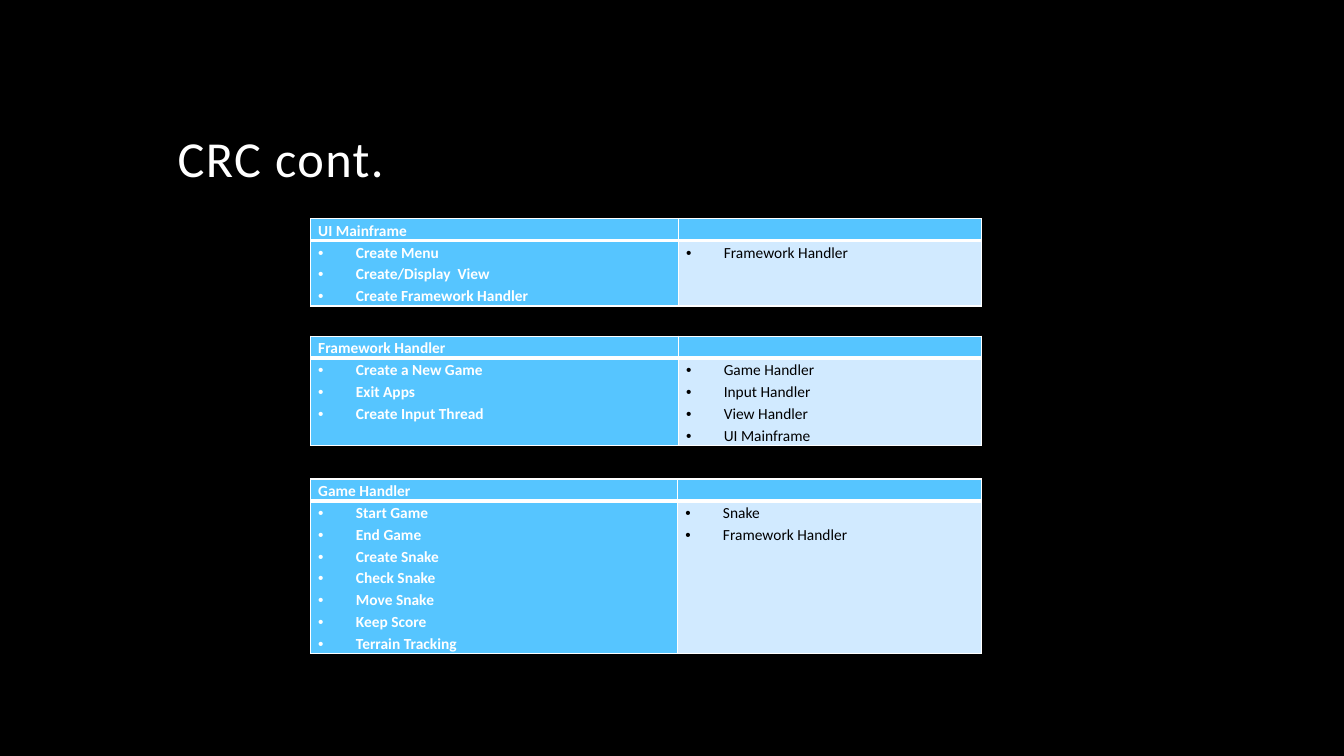
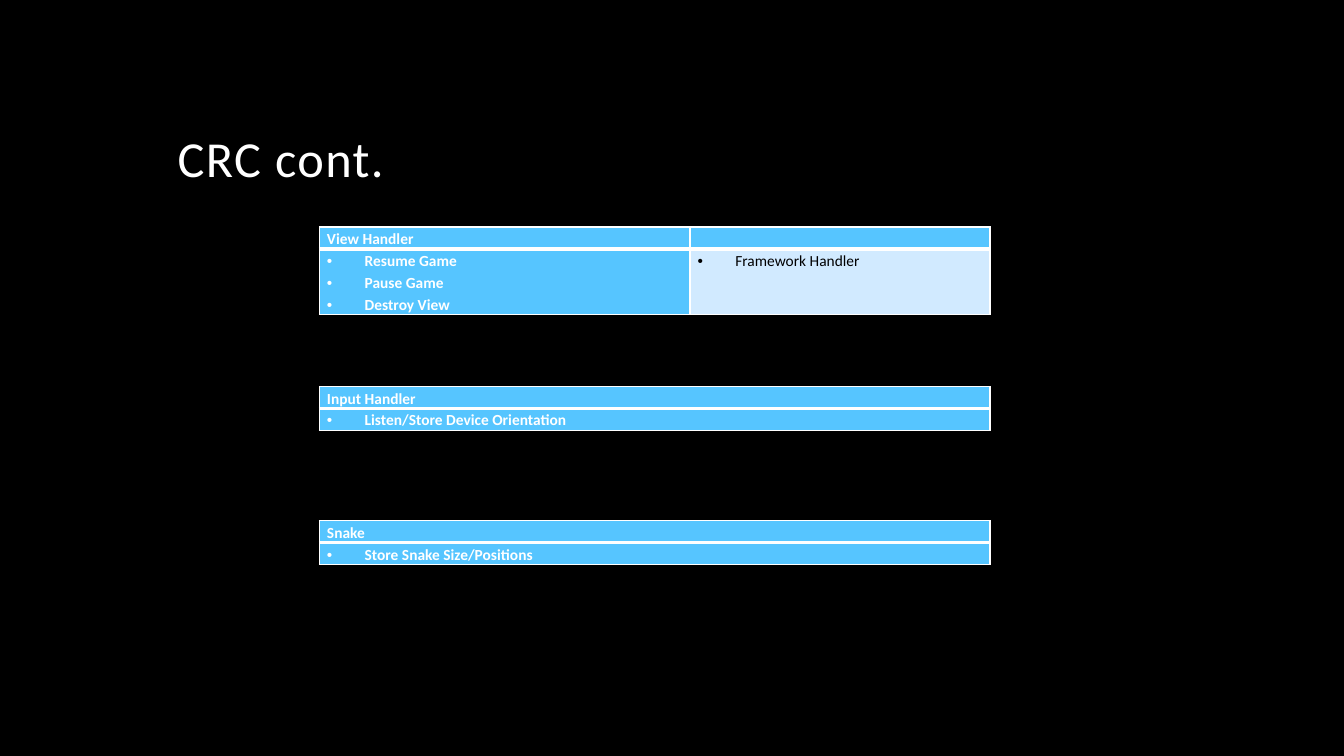
from dataclasses import dataclass

from lxml.etree import SubElement
from pptx import Presentation
from pptx.dml.color import RGBColor as Color
from pptx.enum.text import MSO_ANCHOR as Anchor
from pptx.oxml import parse_xml
from pptx.oxml.ns import nsdecls, qn
from pptx.util import Cm, Pt


@dataclass(frozen=True)
class Theme:
    font: str = "Calibri"
    title_size: int = 36
    body_size: int = 11
    background: str = "000000"
    light: str = "FFFFFF"
    dark: str = "000000"
    strong_fill: str = "56C5FF"
    pale_fill: str = "D1EAFF"
    thin_line: int = 1
    thick_line: int = 3


THEME = Theme()
TABLE_WIDTH = 16.9
LINE_HEIGHT = 0.55
CELL_INSET = 0.19
BULLET_INDENT = 0.95

CRC_SLIDES = [
    (7.83, [
        (5.51, 9.27, "UI Mainframe",
         ["Create Menu", "Create/Display  View", "Create Framework Handler"],
         ["Framework Handler"]),
        (8.47, 9.27, "Framework Handler",
         ["Create a New Game", "Exit Apps", "Create Input Thread"],
         ["Game Handler", "Input Handler", "View Handler", "UI Mainframe"]),
        (12.07, 9.25, "Game Handler",
         ["Start Game", "End Game", "Create Snake", "Check Snake",
          "Move Snake", "Keep Score", "Terrain Tracking"],
         ["Snake", "Framework Handler"]),
    ]),
    (8.05, [
        (5.72, 9.34, "View Handler",
         ["Resume Game", "Pause Game", "Destroy View"],
         ["Framework Handler"]),
        (9.74, TABLE_WIDTH, "Input Handler",
         ["Listen/Store Device Orientation"], []),
        (13.12, TABLE_WIDTH, "Snake", ["Store Snake Size/Positions"], []),
    ]),
]


def write_text(paragraph, text, *, size, color, bold=False, line_spacing=1.15,
               letter_spacing=0, bullet=False):
    paragraph.line_spacing = line_spacing
    if not text:
        SubElement(paragraph._p, qn("a:endParaRPr"), sz=str(size * 100))
        return
    run = paragraph.add_run()
    run.text = text
    font = run.font
    font.name, font.size, font.bold = THEME.font, Pt(size), bold
    font.color.rgb = Color.from_string(color)
    if letter_spacing:
        font._element.set("spc", str(letter_spacing * 100))
    if bullet:
        properties = paragraph._p.get_or_add_pPr()
        properties.set("marL", str(Cm(BULLET_INDENT)))
        properties.set("indent", str(-Cm(BULLET_INDENT)))
        SubElement(properties, qn("a:buFont"), typeface="Arial")
        SubElement(properties, qn("a:buChar"), char="•")


class Deck:
    def __init__(self, theme):
        self.theme = theme
        self.presentation = Presentation()
        self.presentation.slide_width = Cm(33.87)
        self.presentation.slide_height = Cm(19.05)
        self.slide = None

    def add_slide(self, title):
        layout = self.presentation.slide_layouts[6]
        self.slide = self.presentation.slides.add_slide(layout)
        background = self.slide.background.fill
        background.solid()
        background.fore_color.rgb = Color.from_string(self.theme.background)
        self.add_title(title)

    def add_title(self, text):
        box = self.slide.shapes.add_textbox(Cm(4.23), Cm(1.07), Cm(25.4), Cm(3.81))
        frame = box.text_frame
        frame.word_wrap = True
        frame.vertical_anchor = Anchor.BOTTOM
        write_text(frame.paragraphs[0], text, size=self.theme.title_size,
                   color=self.theme.light, line_spacing=0.9, letter_spacing=1)

    def add_card(self, left, top, first_width, name, duties, partners):
        widths = [first_width]
        if partners:
            widths.append(TABLE_WIDTH - first_width)
        heights = [LINE_HEIGHT, LINE_HEIGHT * max(len(duties), len(partners))]
        table = self.slide.shapes.add_table(
            2, len(widths), Cm(left), Cm(top), Cm(TABLE_WIDTH), Cm(sum(heights))).table
        table.first_row = table.horz_banding = False
        for row, height in zip(table.rows, heights):
            row.height = Cm(height)
        for index, width in enumerate(widths):
            table.columns[index].width = Cm(width)
            header = "" if index else name
            self.fill_cell(table.cell(0, index), [header], header=True)
            self.fill_cell(table.cell(1, index), partners if index else duties,
                           pale=index > 0)

    def fill_cell(self, cell, lines, header=False, pale=False):
        theme = self.theme
        cell.margin_left = cell.margin_right = Cm(CELL_INSET)
        cell.margin_top = cell.margin_bottom = 0
        cell.fill.solid()
        cell.fill.fore_color.rgb = Color.from_string(
            theme.pale_fill if pale else theme.strong_fill)
        self.draw_borders(cell, thick_side="B" if header else "T")
        frame = cell.text_frame
        for index, line in enumerate(lines):
            paragraph = frame.add_paragraph() if index else frame.paragraphs[0]
            write_text(paragraph, line, size=theme.body_size, bold=not pale,
                       color=theme.dark if pale else theme.light, bullet=not header)

    def draw_borders(self, cell, thick_side):
        properties = cell._tc.get_or_add_tcPr()
        for position, side in enumerate("LRTB"):
            points = self.theme.thick_line if side == thick_side else self.theme.thin_line
            properties.insert(position, parse_xml(
                f'<a:ln{side} {nsdecls("a")} w="{Pt(points)}"><a:solidFill>'
                f'<a:srgbClr val="{self.theme.light}"/></a:solidFill></a:ln{side}>'))


def main():
    deck = Deck(THEME)
    for left, cards in CRC_SLIDES:
        deck.add_slide("CRC cont.")
        for card in cards:
            deck.add_card(left, *card)
    deck.presentation.save("out.pptx")


if __name__ == "__main__":
    main()
